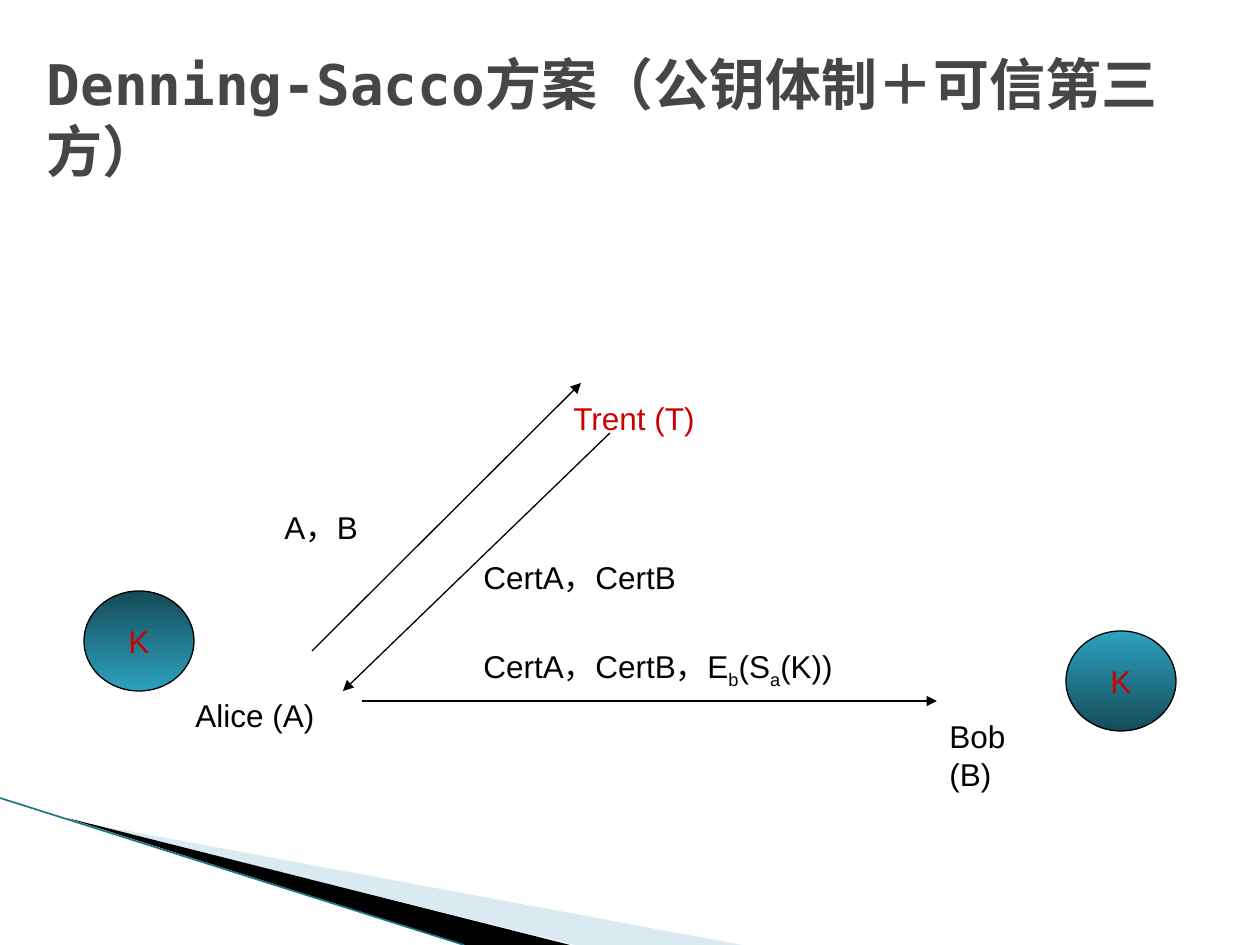
from lxml.etree import SubElement
from pptx import Presentation
from pptx.dml.color import RGBColor
from pptx.enum.shapes import MSO_CONNECTOR, MSO_SHAPE
from pptx.enum.text import MSO_ANCHOR, MSO_AUTO_SIZE, PP_ALIGN
from pptx.oxml.ns import qn
from pptx.util import Pt

PX = 914400 / 126
BLACK = RGBColor(0x00, 0x00, 0x00)
RED = RGBColor(0xCC, 0x00, 0x00)
GRAY = RGBColor(0x46, 0x46, 0x46)
TEAL = RGBColor(0x2D, 0xA2, 0xBF)
DARK = RGBColor(0x15, 0x4B, 0x58)
EDGE = RGBColor(0x1F, 0x73, 0x86)
PALE = RGBColor(0xA0, 0xCB, 0xDC)

TITLE = "Denning-Sacco方案（公钥体制＋可信第三方）"
LABELS = [
    (["Alice (A)"], 183, 690, 159, BLACK),
    (["Bob (B)"], 937, 711, 128, BLACK),
    (["Trent (T)"], 561, 393, 159, RED),
    (["A，B"], 272, 502, 179, BLACK),
    (["CertA，CertB"], 471, 552, 228, BLACK),
    (["CertA，CertB，E", "b", "(S", "a", "(K))"], 471, 641, 427, BLACK),
]
KEYS = [(84, 591, DARK, TEAL), (1066, 631, TEAL, DARK)]
ARROWS = [(312, 651, 581, 383), (610, 433, 343, 691), (362, 701, 937, 701)]
WEDGES = [
    ([(69, 820), (742, 945), (575, 945)], PALE, 40),
    ([(67, 818), (570, 945), (465, 945)], BLACK, 100),
]


def emu(*nums):
    return [round(n * PX) for n in nums]


def write(frame, parts, size=18, font="Arial", color=BLACK, bold=False,
          align=PP_ALIGN.LEFT, anchor=MSO_ANCHOR.TOP, wrap=True,
          fit=MSO_AUTO_SIZE.NONE):
    frame.word_wrap = wrap
    frame.auto_size = fit
    frame.vertical_anchor = anchor
    para = frame.paragraphs[0]
    para.alignment = align
    for n, text in enumerate(parts):
        run = para.add_run()
        run.text = text
        run.font.size = Pt(size)
        run.font.name = font
        run.font.bold = bold
        run.font.color.rgb = color
        if n % 2:
            run._r.get_or_add_rPr().set("baseline", "-25000")


def stroke(start, end, color, width, head=False):
    line = shapes.add_connector(MSO_CONNECTOR.STRAIGHT, *emu(*start, *end))
    line.line.color.rgb = color
    line.line.width = Pt(width)
    if head:
        SubElement(line.line._get_or_add_ln(), qn("a:tailEnd"), type="triangle")
    SubElement(line._element.spPr, qn("a:effectLst"))


deck = Presentation()
deck.slide_width, deck.slide_height = emu(1260, 945)
slide = deck.slides.add_slide(deck.slide_layouts[5])
shapes = slide.shapes

for points, color, alpha in WEDGES:
    pen = shapes.build_freeform(*points[0], scale=PX)
    pen.add_line_segments(points[1:])
    wedge = pen.convert_to_shape()
    wedge.shadow.inherit = False
    wedge.fill.solid()
    wedge.fill.fore_color.rgb = color
    wedge.line.fill.background()
    if alpha < 100:
        tone = wedge._element.spPr.find(".//" + qn("a:srgbClr"))
        SubElement(tone, qn("a:alpha"), val=str(alpha * 1000))
stroke((0, 798), (464, 945), EDGE, 0.95)

title = shapes.title
title.left, title.top, title.width, title.height = emu(34, 38, 1226, 157)
write(title.text_frame, [TITLE], size=32, font="DejaVu Sans Mono",
      color=GRAY, bold=True, anchor=MSO_ANCHOR.MIDDLE)

for parts, left, top, width, color in LABELS:
    box = shapes.add_textbox(*emu(left, top, width, 50))
    write(box.text_frame, parts, color=color, fit=MSO_AUTO_SIZE.SHAPE_TO_FIT_TEXT)

for left, top, first, last in KEYS:
    key = shapes.add_shape(MSO_SHAPE.OVAL, *emu(left, top, 110, 100))
    key.shadow.inherit = False
    key.fill.gradient()
    key.fill.gradient_angle = 270
    for stop, color, spot in zip(key.fill.gradient_stops, (first, last), (0, 1)):
        stop.color.rgb = color
        stop.position = spot
    key.line.color.rgb = BLACK
    key.line.width = Pt(0.75)
    write(key.text_frame, ["K"], color=RED, align=PP_ALIGN.CENTER,
          anchor=MSO_ANCHOR.MIDDLE, wrap=False)

for x1, y1, x2, y2 in ARROWS:
    stroke((x1, y1), (x2, y2), BLACK, 0.75, head=True)

deck.save("out.pptx")
